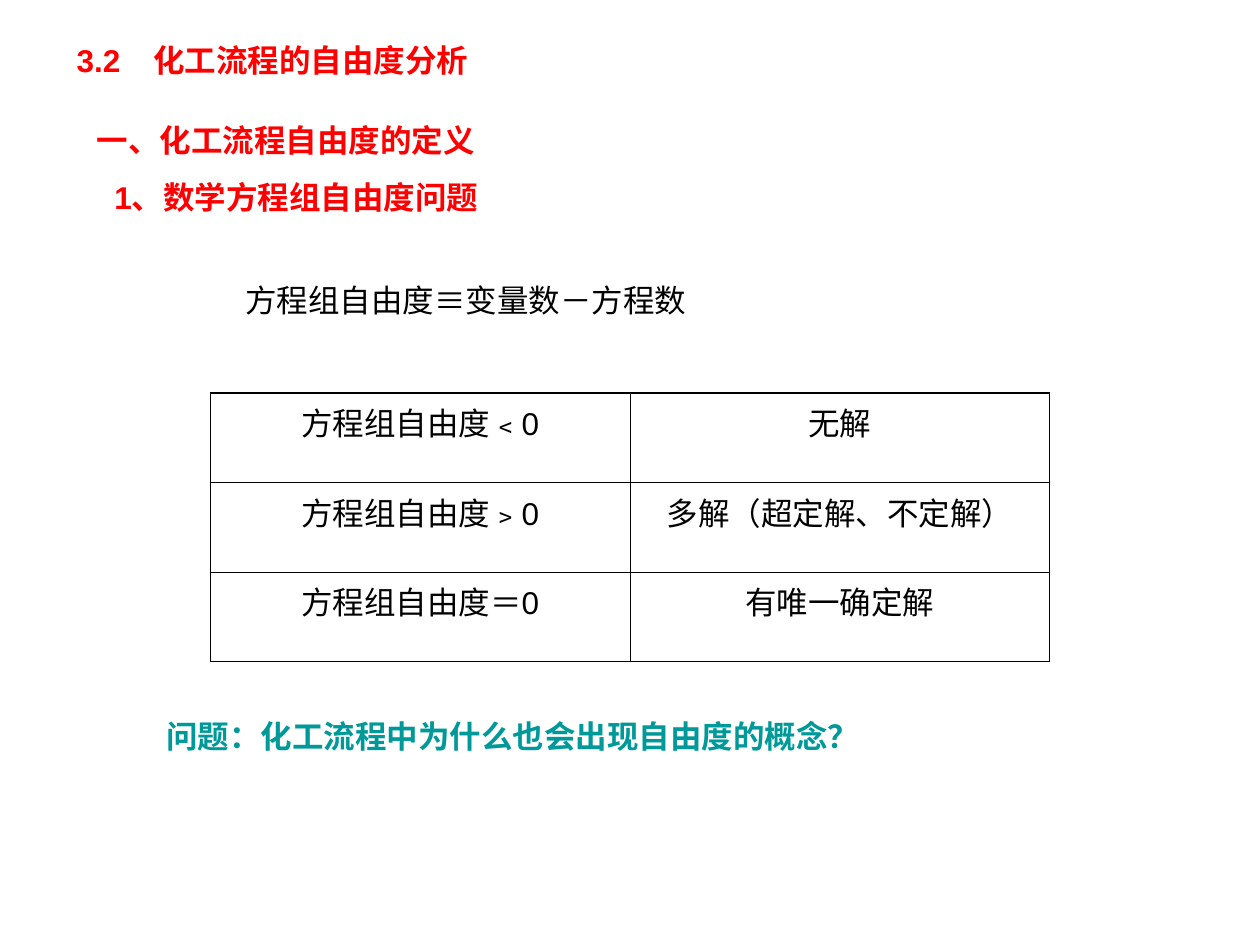
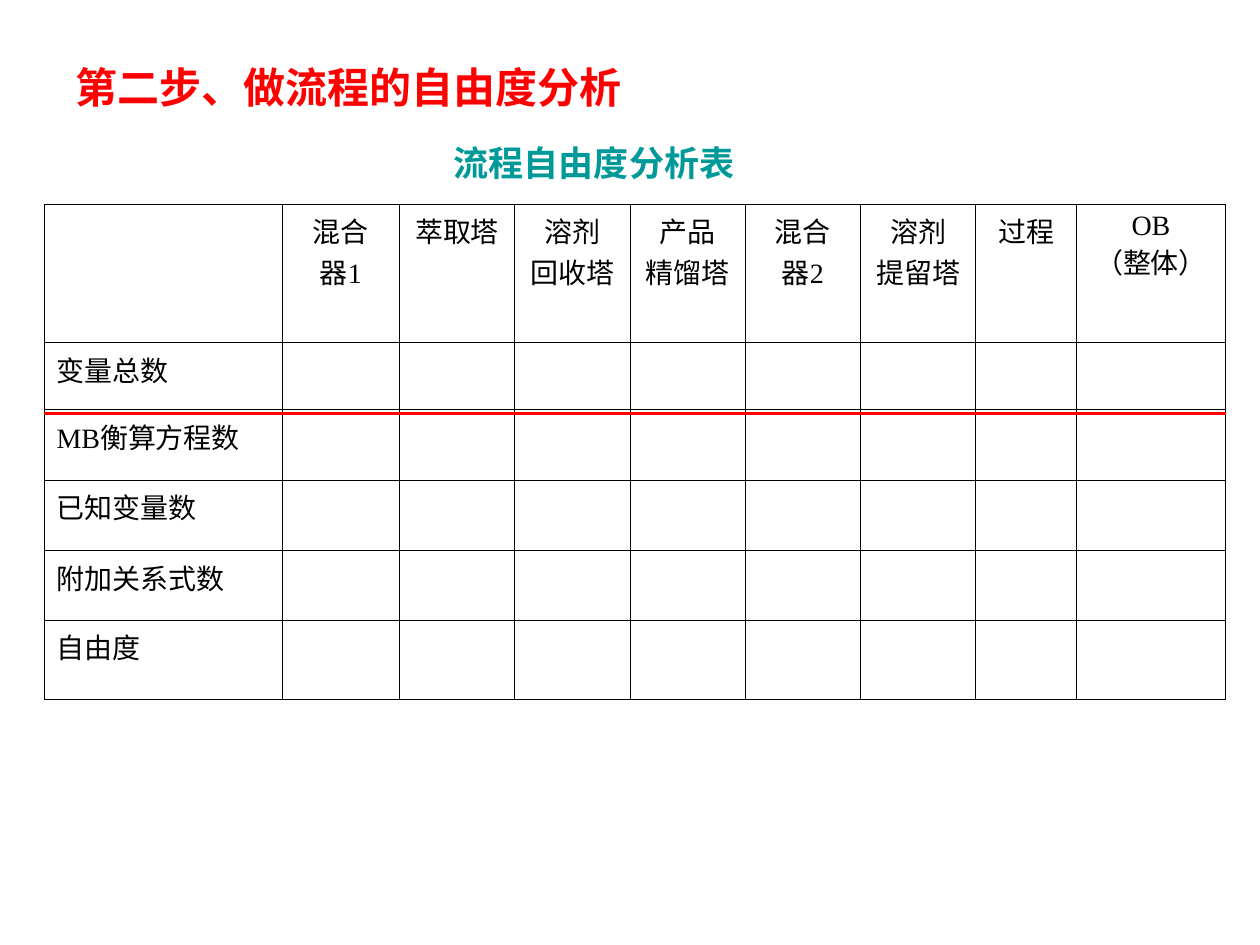
"""Build two slides on degree-of-freedom analysis of chemical processes."""
from pptx import Presentation
from pptx.dml.color import RGBColor
from pptx.enum.shapes import MSO_CONNECTOR
from pptx.enum.text import MSO_ANCHOR, PP_ALIGN
from pptx.oxml.ns import qn
from pptx.util import Inches, Pt
from lxml import etree

LEFT, CENTER = PP_ALIGN.LEFT, PP_ALIGN.CENTER
TOP, MIDDLE = MSO_ANCHOR.TOP, MSO_ANCHOR.MIDDLE
STRAIGHT = MSO_CONNECTOR.STRAIGHT


class Theme:
    red = RGBColor.from_string("FF0000")
    teal = RGBColor.from_string("009999")
    black = RGBColor.from_string("000000")
    thin, thick, rule = Pt(0.45), Pt(1.08), Pt(2)
    paragraph_gap = Pt(11.2)
    heading = ({"name": "Arial", "size": Pt(18), "bold": True}, red)
    title = ({"name": "Arial", "size": Pt(24), "bold": True}, red)
    question = ({"name": "Arial", "size": Pt(18), "bold": True}, teal)
    caption = ({"name": "Times New Roman", "size": Pt(20), "bold": True}, teal)
    body = ({"name": "Arial", "size": Pt(18), "bold": False}, black)
    grid_text = ({"name": "Times New Roman", "size": Pt(16), "bold": False}, black)


deck = Presentation()
deck.slide_width, deck.slide_height = Inches(10), Inches(7.5)
COLUMN, ROW = deck.slide_width // 100, deck.slide_height // 75
blank = deck.slide_layouts[6]


def write(frame, lines, style, align=LEFT, gap=0, indent=0):
    """Fill a text frame, one paragraph a line; later lines take gap and indent."""
    formats, color = style
    for index, line in enumerate(lines):
        para = frame.add_paragraph() if index else frame.paragraphs[0]
        properties = para._p.get_or_add_pPr()
        if index and indent:
            properties.set("marL", str(int(indent * COLUMN)))
        if "\t" in line:
            stops = etree.SubElement(properties, qn("a:tabLst"))
            etree.SubElement(stops, qn("a:tab"), pos=str(int(6.1 * COLUMN)), algn="l")
        para.alignment = align
        para.space_before = gap if index else Pt(0)
        span = para.add_run()
        span.text = line
        for name, value in formats.items():
            setattr(span.font, name, value)
        span.font.color.rgb = color


def add_grid(page, left, top, widths, heights, texts, style, edge, is_centered):
    """Add a ruled table with sizes in grid units and an outer edge width."""
    table = page.shapes.add_table(
        len(heights), len(widths), int(left * COLUMN), int(top * ROW),
        int(sum(widths) * COLUMN), int(sum(heights) * ROW)).table
    table.first_row = table.horz_banding = False
    for column, width in zip(table.columns, widths):
        column.width = int(width * COLUMN)
    for row, height in zip(table.rows, heights):
        row.height = int(height * ROW)
    last_row, last_column = len(heights) - 1, len(widths) - 1
    for r in range(len(heights)):
        for c in range(len(widths)):
            cell = table.cell(r, c)
            outer = {"lnL": c == 0, "lnR": c == last_column,
                     "lnT": r == 0, "lnB": r == last_row}
            for side, is_outer in outer.items():
                width = edge if is_outer else Theme.thin
                line = etree.SubElement(cell._tc.get_or_add_tcPr(), qn(f"a:{side}"), w=str(width))
                fill = etree.SubElement(line, qn("a:solidFill"))
                etree.SubElement(fill, qn("a:srgbClr"), val=str(Theme.black))
            cell.fill.background()
            if texts[r][c]:
                align = CENTER if is_centered(r, c) else LEFT
                write(cell.text_frame, texts[r][c].split("\n"), style, align)


definition_texts = [
    ((5.1, 2.8, 70.1, 4), ["3.2\t化工流程的自由度分析"], Theme.heading, LEFT, TOP),
    ((6.7, 9.1, 39.4, 8.6), ["一、化工流程自由度的定义", "1、数学方程组自由度问题"],
     Theme.heading, LEFT, TOP),
    ((18.5, 21.8, 61.4, 4), ["方程组自由度≡变量数－方程数"], Theme.body, LEFT, TOP),
    ((12.2, 56.4, 77.2, 4), ["问题：化工流程中为什么也会出现自由度的概念？"],
     Theme.question, LEFT, TOP),
]
analysis_texts = [
    ((5, 3, 90, 7.8), ["第二步、做流程的自由度分析"], Theme.title, LEFT, MIDDLE),
    ((23, 10.7, 48.3, 4.4), ["流程自由度分析表"], Theme.caption, CENTER, MIDDLE),
]

pages = []
for texts in (definition_texts, analysis_texts):
    page = deck.slides.add_slide(blank)
    pages.append(page)
    for (left, top, width, height), lines, style, align, anchor in texts:
        box = page.shapes.add_textbox(int(left * COLUMN), int(top * ROW),
                                      int(width * COLUMN), int(height * ROW))
        box.text_frame.word_wrap = True
        box.text_frame.vertical_anchor = anchor
        write(box.text_frame, lines, style, align, Theme.paragraph_gap, indent=1.4)
definition_page, analysis_page = pages

solutions = [
    ["方程组自由度﹤0", "无解"],
    ["方程组自由度﹥0", "多解（超定解、不定解）"],
    ["方程组自由度＝0", "有唯一确定解"],
]
add_grid(definition_page, 16.7, 31.2, [33.3] * 2, [7.1] * 3, solutions,
         Theme.body, Theme.thick, lambda r, c: True)

units = ["", "混合\n器1", "萃取塔", "溶剂\n回收塔", "产品\n精馏塔", "混合\n器2",
         "溶剂\n提留塔", "过程", "OB\n（整体）"]
counts = ["变量总数", "MB衡算方程数", "已知变量数", "附加关系式数", "自由度"]
analysis = [units] + [[count] + [""] * (len(units) - 1) for count in counts]
unit_widths = [18.9, 9.3] + [9.15] * 5 + [8, 11.8]
add_grid(analysis_page, 3.5, 16.2, unit_widths, [11, 5.3, 5.6, 5.6, 5.5, 6.3], analysis,
         Theme.grid_text, Theme.thin, lambda r, c: r == 0)

divider = analysis_page.shapes.add_connector(
    STRAIGHT, int(3.5 * COLUMN), int(32.8 * ROW), int(97.3 * COLUMN), int(32.8 * ROW))
divider.line.color.rgb = Theme.red
divider.line.width = Theme.rule
etree.SubElement(divider._element.spPr, qn("a:effectLst"))

deck.save("out.pptx")
